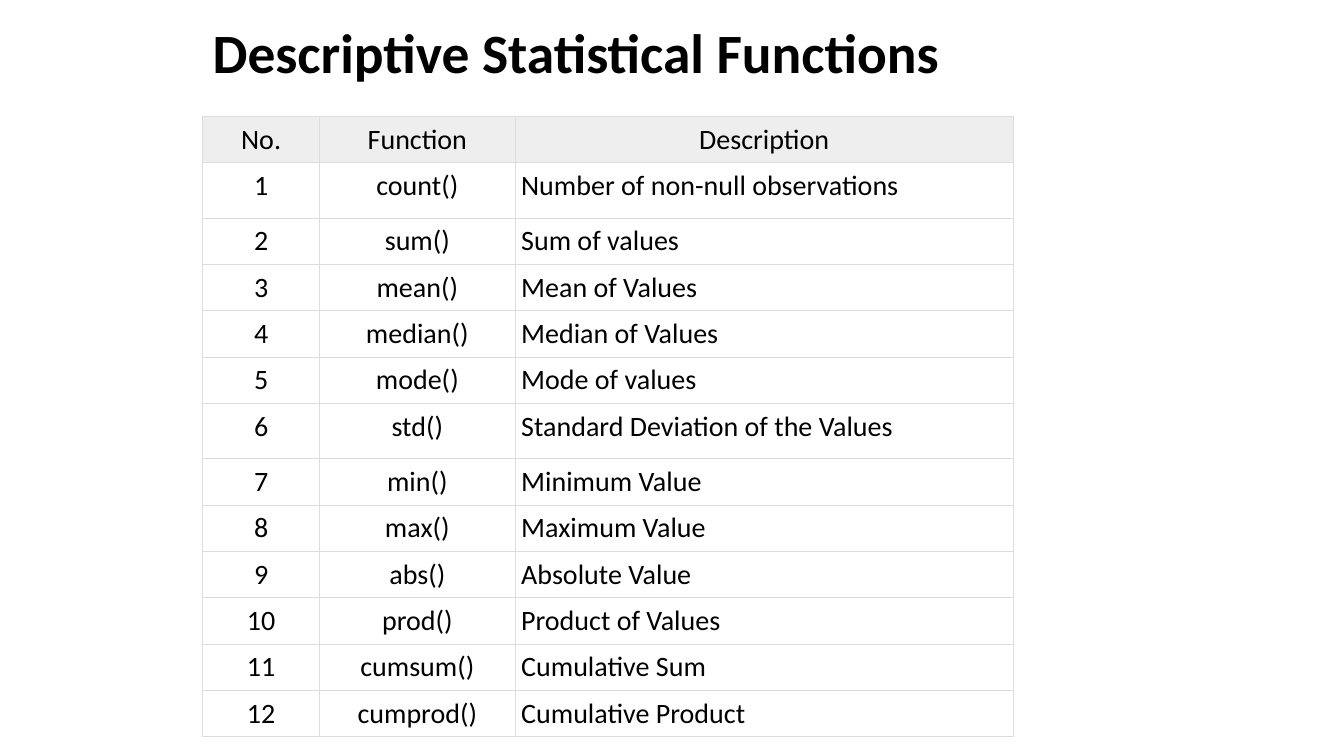
import pptx
import pptx.dml.color
import pptx.enum.text
import pptx.oxml
import pptx.oxml.ns
import pptx.util

ALIGN = pptx.enum.text.PP_ALIGN
WIDTH, HEIGHT = pptx.util.Inches(13.33), pptx.util.Inches(7.5)


class Theme:
    font = "Calibri"
    text = "000000"
    header = "EEEEEE"
    border = "DDDDDD"
    border_width = pptx.util.Pt(0.75)
    title_size = 39.6
    table_size = 20
    cell_margin = pptx.util.Inches(0.06)


TITLE = "Descriptive Statistical Functions"
HEADINGS = ("No.", "Function", "Description")
FUNCTIONS = (
    ("count()", "Number of non-null observations"),
    ("sum()", "Sum of values"),
    ("mean()", "Mean of Values"),
    ("median()", "Median of Values"),
    ("mode()", "Mode of values"),
    ("std()", "Standard Deviation of the Values"),
    ("min()", "Minimum Value"),
    ("max()", "Maximum Value"),
    ("abs()", "Absolute Value"),
    ("prod()", "Product of Values"),
    ("cumsum()", "Cumulative Sum"),
    ("cumprod()", "Cumulative Product"),
)
TALL_ROWS = (1, 6)
ROW, TALL_ROW = 6.13, 7.33
COLUMNS = (8.7, 14.55, 37.06)
LEFT = 15.08


def across(percent):
    return round(WIDTH * percent / 100)


def down(percent):
    return round(HEIGHT * percent / 100)


def set_all(target, formats):
    for name, value in formats.items():
        setattr(target, name, value)


def write(tf, text, size, bold=False, **paragraph_formats):
    p = tf.paragraphs[0]
    set_all(p, paragraph_formats)
    r = p.add_run()
    r.text = text
    set_all(r.font, {"name": Theme.font, "size": pptx.util.Pt(size), "bold": bold})
    r.font.color.rgb = pptx.dml.color.RGBColor.from_string(Theme.text)


def add_title(s):
    sp = s.shapes.add_textbox(across(LEFT), down(3.6), across(56.49), down(7.6))
    tf = sp.text_frame
    set_all(tf, {"word_wrap": True,
                 "vertical_anchor": pptx.enum.text.MSO_ANCHOR.MIDDLE})
    write(tf, TITLE, Theme.title_size, bold=True, line_spacing=0.9)


def add_borders(cell):
    properties = cell._tc.get_or_add_tcPr()
    for side in "LRTB":
        properties.append(pptx.oxml.parse_xml(
            f'<a:ln{side} {pptx.oxml.ns.nsdecls("a")} w="{Theme.border_width}">'
            f'<a:solidFill><a:srgbClr val="{Theme.border}"/></a:solidFill>'
            f'</a:ln{side}>'))


def fill_cell(cell, text, align, header):
    margins = ("margin_left", "margin_right", "margin_top", "margin_bottom")
    set_all(cell, dict.fromkeys(margins, Theme.cell_margin))
    add_borders(cell)
    if header:
        cell.fill.solid()
        cell.fill.fore_color.rgb = pptx.dml.color.RGBColor.from_string(Theme.header)
    else:
        cell.fill.background()
    write(cell.text_frame, text, Theme.table_size, alignment=align)


def add_function_table(s):
    rows = [HEADINGS] + [(str(n), *row) for n, row in enumerate(FUNCTIONS, 1)]
    heights = [TALL_ROW if i in TALL_ROWS else ROW for i in range(len(rows))]
    table = s.shapes.add_table(len(rows), len(COLUMNS), across(LEFT), down(15.4),
                               across(sum(COLUMNS)), down(sum(heights))).table
    set_all(table, {"first_row": False, "horz_banding": False})
    for column, width in zip(table.columns, COLUMNS):
        column.width = across(width)
    for i, (row, height) in enumerate(zip(rows, heights)):
        table.rows[i].height = down(height)
        for j, text in enumerate(row):
            align = ALIGN.CENTER if i == 0 or j < 2 else ALIGN.LEFT
            fill_cell(table.cell(i, j), text, align, header=i == 0)


def main():
    prs = pptx.Presentation()
    set_all(prs, {"slide_width": WIDTH, "slide_height": HEIGHT})
    s = prs.slides.add_slide(prs.slide_layouts[6])
    add_title(s)
    add_function_table(s)
    prs.save("out.pptx")


if __name__ == "__main__":
    main()
